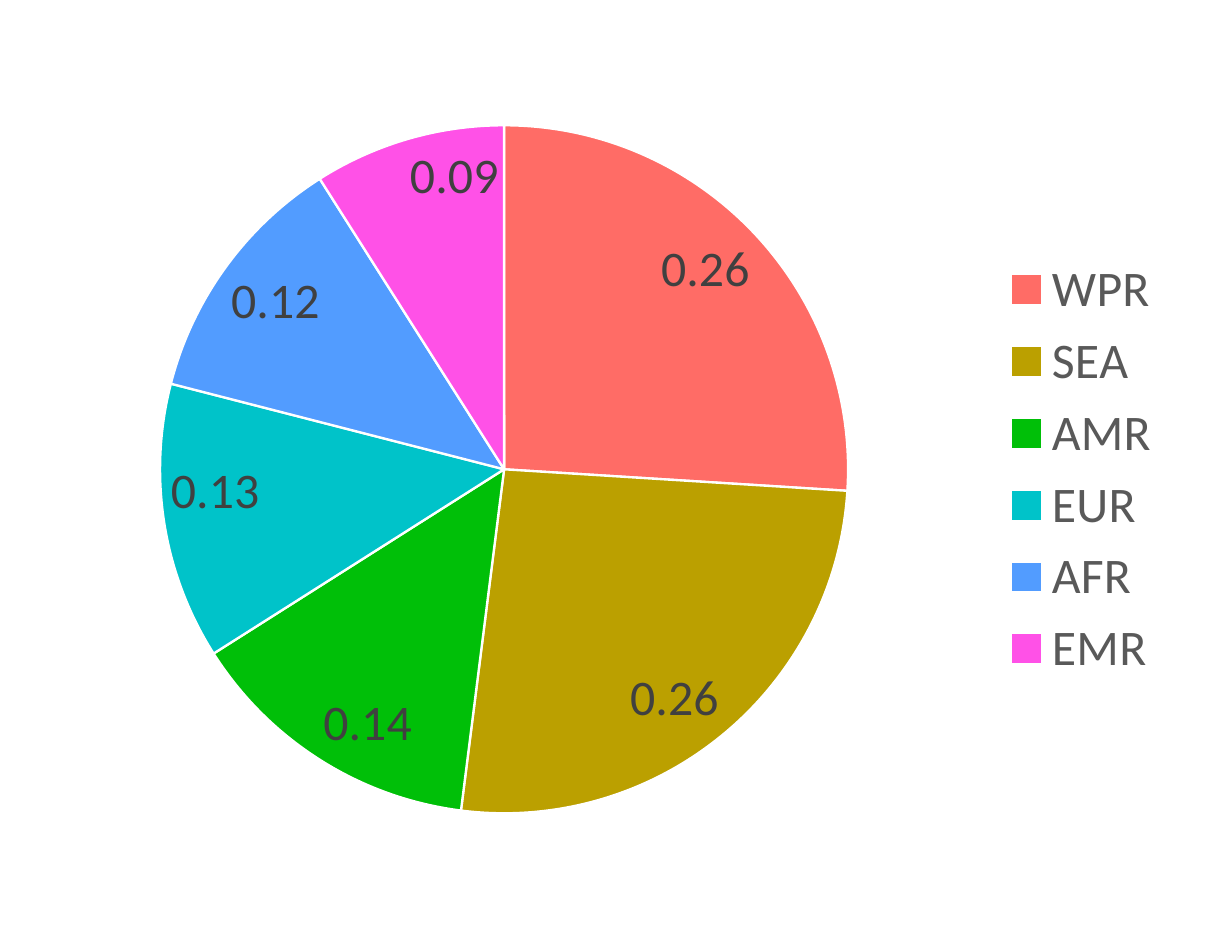
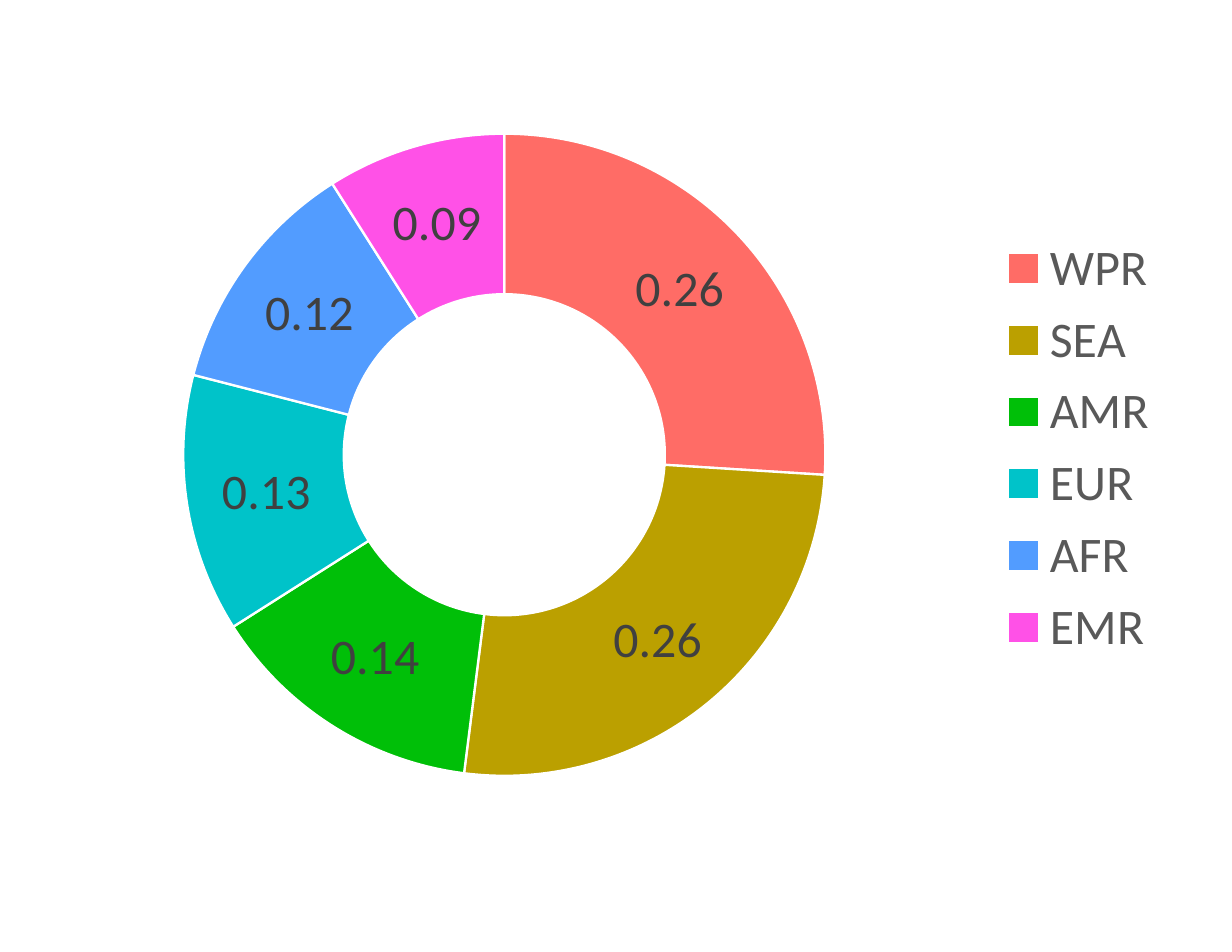
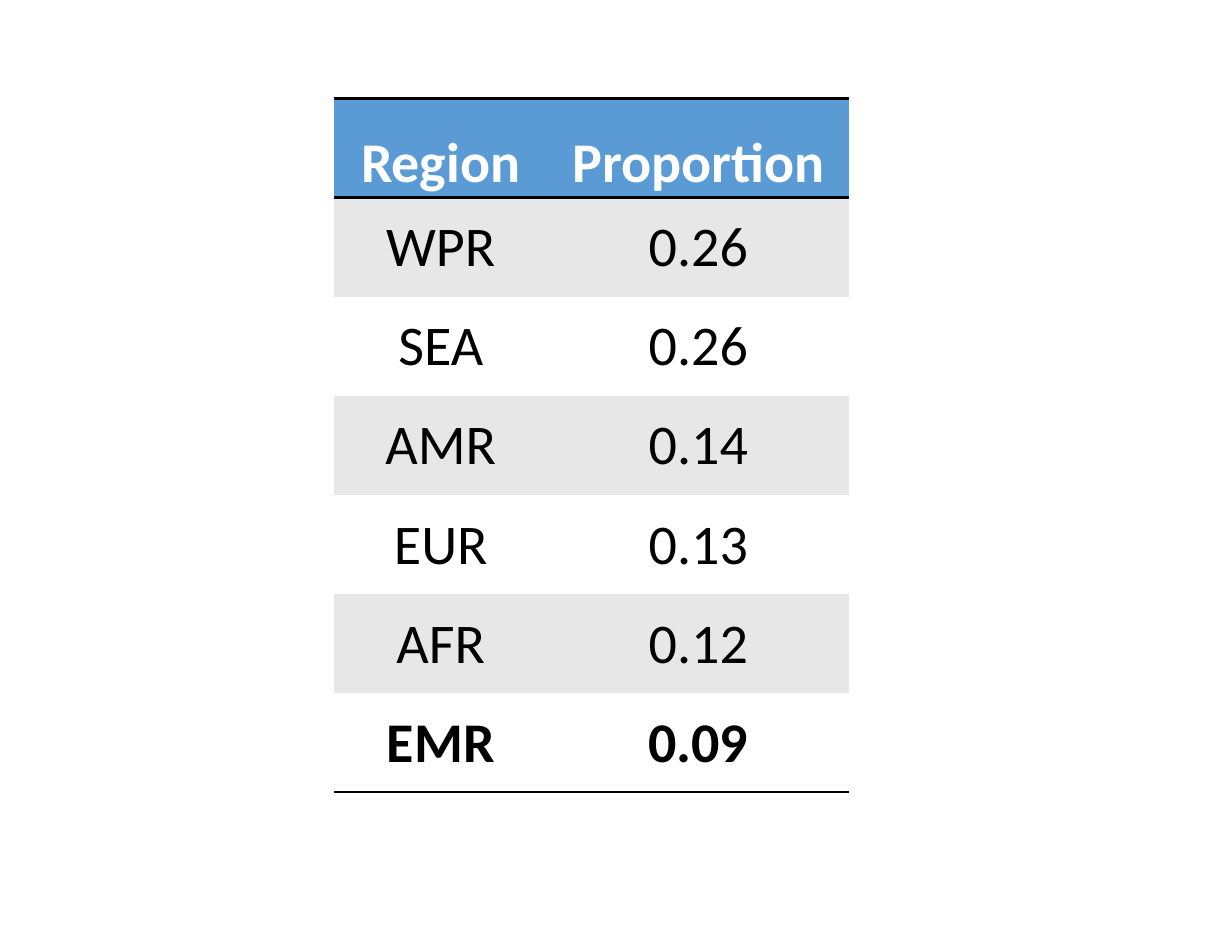
from lxml.etree import SubElement as Sub
from pptx import Presentation
from pptx.chart.data import CategoryChartData as Data
from pptx.dml.color import RGBColor
from pptx.enum.chart import XL_CHART_TYPE as Kind
from pptx.enum.chart import XL_LABEL_POSITION as Spot
from pptx.enum.chart import XL_LEGEND_POSITION as Side
from pptx.enum.text import MSO_ANCHOR as Anchor
from pptx.enum.text import PP_ALIGN as Align
from pptx.oxml.ns import qn
from pptx.util import Pt

FACE = "Calibri"
BLACK, WHITE = "000000", "FFFFFF"
HEAD, BAND = "5B9BD5", "E7E7E7"
PLAIN = "{2D5ABB26-0587-4C30-8999-92F81FD0307C}"
SHARES = {
    "WPR": (0.26, "FF6C66"),
    "SEA": (0.26, "BBA000"),
    "AMR": (0.14, "00BF08"),
    "EUR": (0.13, "00C3C9"),
    "AFR": (0.12, "529CFF"),
    "EMR": (0.09, "FF51E7"),
}


def color(code):
    return RGBColor.from_string(code)


def style(font, size, code, bold=False):
    font.name = FACE
    font.size = Pt(size)
    font.bold = bold
    font.color.rgb = color(code)


def paint(fill, code):
    fill.solid()
    fill.fore_color.rgb = color(code)


def place(chart, x, y, w, h):
    area = chart.plots[0]._element.getparent()
    layout = area.find(qn("c:layout"))
    if layout is None:
        layout = Sub(area, qn("c:layout"))
        area.insert(0, layout)
    manual = Sub(layout, qn("c:manualLayout"))
    parts = dict(layoutTarget="inner", xMode="edge", yMode="edge",
                 x=x, y=y, w=w, h=h)
    for tag, val in parts.items():
        Sub(manual, qn(f"c:{tag}")).set("val", str(val))


def draw_chart(slide, kind, box, spot=None, inner=None):
    data = Data(number_format="0.00")
    data.categories = list(SHARES)
    data.add_series("Proportion", [val for val, _ in SHARES.values()])
    chart = slide.shapes.add_chart(kind, *map(Pt, box), data).chart
    chart.has_title = False
    style(chart.font, 10, BLACK)

    chart.has_legend = True
    legend = chart.legend
    legend.position = Side.RIGHT
    legend.include_in_layout = False
    style(legend.font, 32, "595959")

    plot = chart.plots[0]
    plot.vary_by_categories = True
    series = plot.series[0]
    for i, (_, code) in enumerate(SHARES.values()):
        form = series.points[i].format
        paint(form.fill, code)
        form.line.color.rgb = color(WHITE)
        form.line.width = Pt(1.5)

    labels = series.data_labels
    labels.show_value = True
    labels.show_percentage = False
    labels.number_format = "0.00"
    labels.number_format_is_linked = False
    style(labels.font, 32, "404040")
    if spot is not None:
        labels.position = spot
    if inner:
        place(chart, *inner)


def rule(cell, side):
    line = Sub(cell._tc.get_or_add_tcPr(), qn(f"a:ln{side}"), w=str(Pt(2)))
    Sub(Sub(line, qn("a:solidFill")), qn("a:srgbClr"), val=BLACK)


def draw_table(slide, box):
    rows = [("Region", "Proportion")]
    rows += [(name, f"{val:.2f}") for name, (val, _) in SHARES.items()]
    last = len(rows) - 1
    table = slide.shapes.add_table(len(rows), 2, *map(Pt, box)).table
    table._tbl.tblPr.find(qn("a:tableStyleId")).text = PLAIN
    table.columns[0].width = Pt(137.5)
    table.columns[1].width = Pt(box[2] - 137.5)
    for r, row in enumerate(rows):
        top = r == 0
        sides = "TB" if top else "B" if r == last else ""
        fill = HEAD if top else BAND if r % 2 else WHITE
        for c, text in enumerate(row):
            cell = table.cell(r, c)
            cell.text = text
            cell.vertical_anchor = Anchor.BOTTOM if top else Anchor.MIDDLE
            cell.margin_left = cell.margin_right = cell.margin_top = Pt(0.75)
            cell.margin_bottom = Pt(0)
            for side in sides:
                rule(cell, side)
            paint(cell.fill, fill)
            para = cell.text_frame.paragraphs[0]
            para.alignment = Align.CENTER
            style(para.font, 36, WHITE if top else BLACK, r in (0, last))


def main():
    deck = Presentation()
    deck.slide_width, deck.slide_height = Pt(792), Pt(612)
    blank = deck.slide_layouts[6]
    pie, ring, grid = (deck.slides.add_slide(blank) for _ in range(3))
    draw_chart(pie, Kind.PIE, (8.6, 70.6, 748, 462.2), spot=Spot.INSIDE_END)
    draw_chart(ring, Kind.DOUGHNUT, (12.2, 68.4, 743, 439.2),
               inner=(0.14, 0.04, 0.56, 0.94))
    draw_table(grid, (214.6, 63.4, 331.2, 445.7))
    deck.save("out.pptx")


if __name__ == "__main__":
    main()
